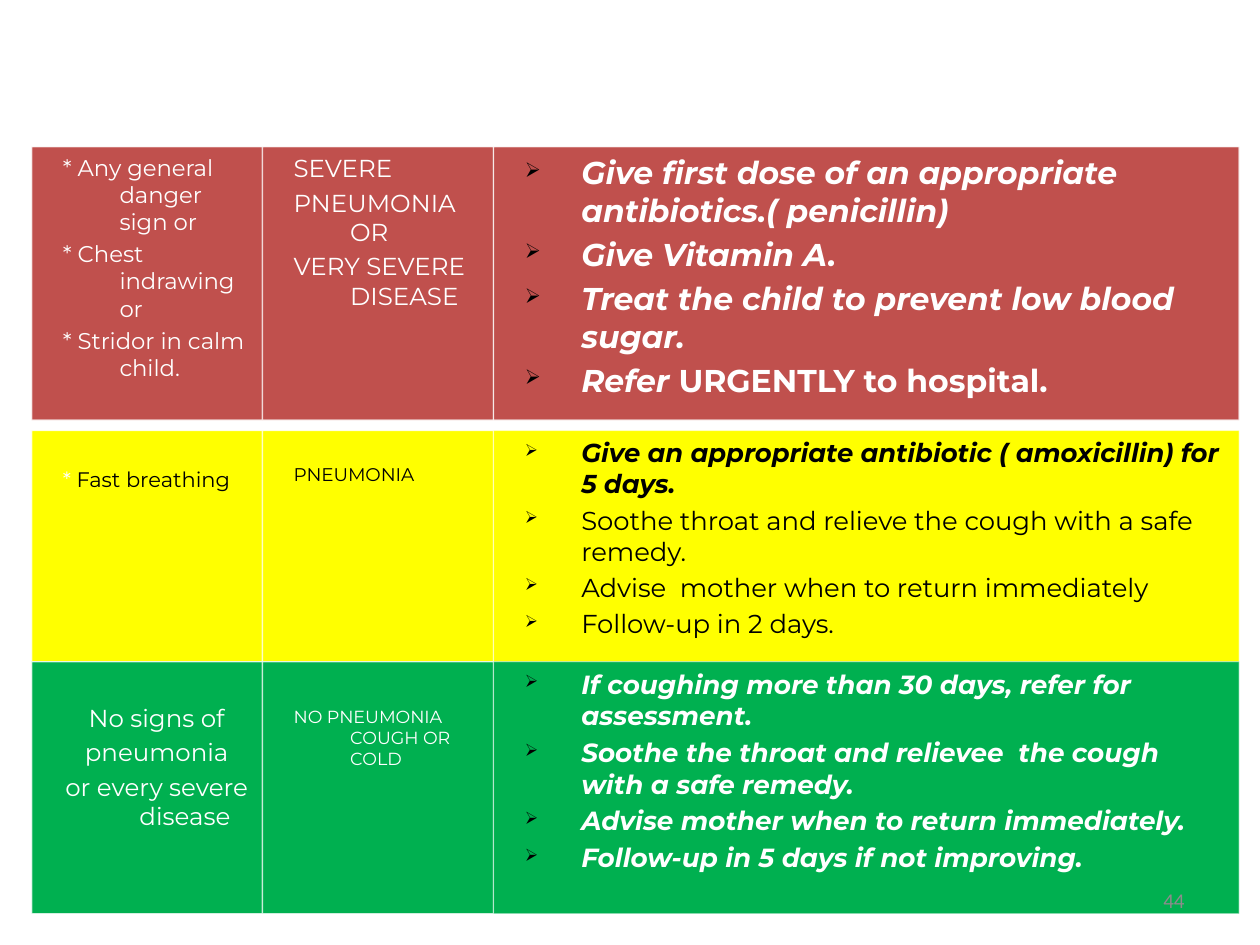
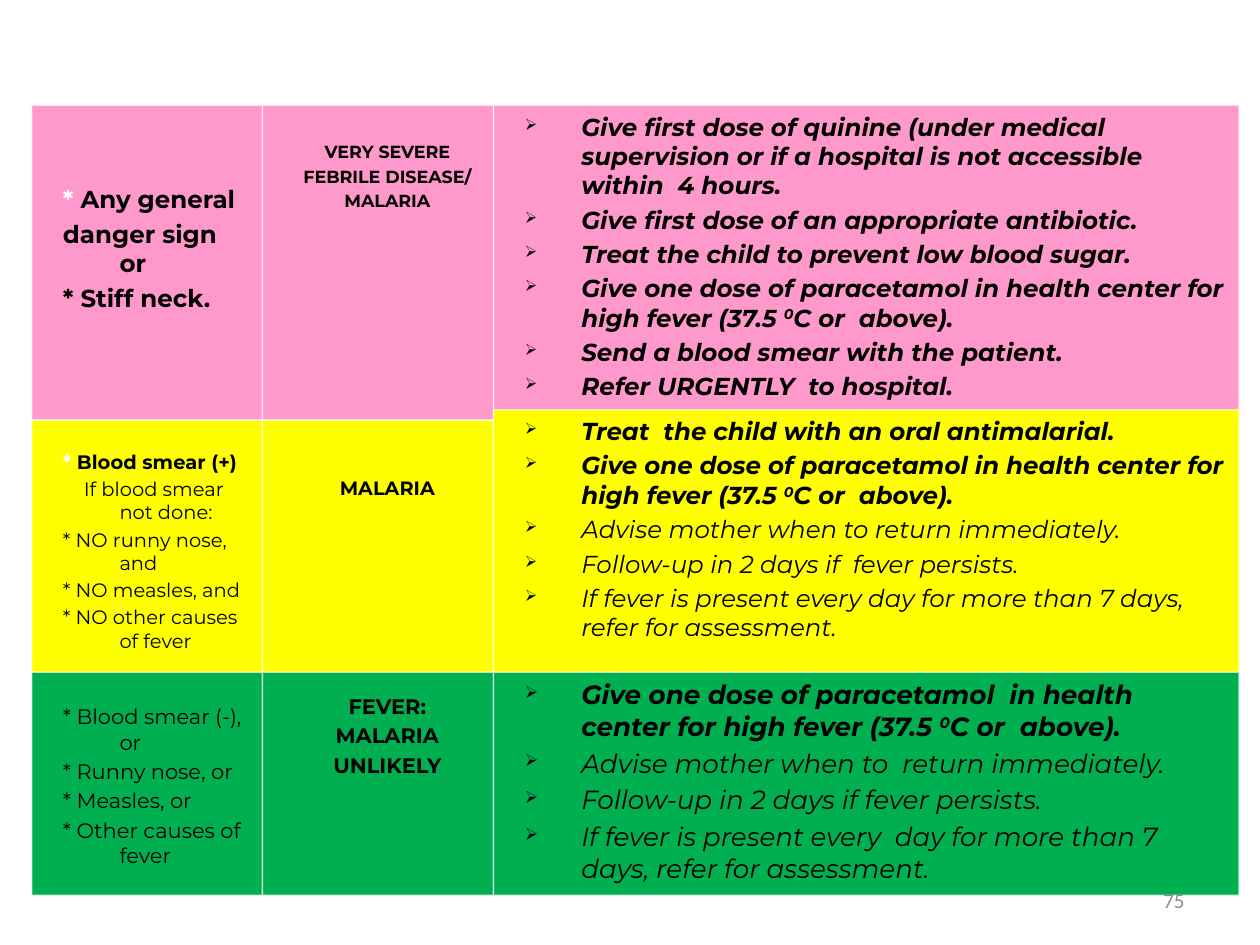
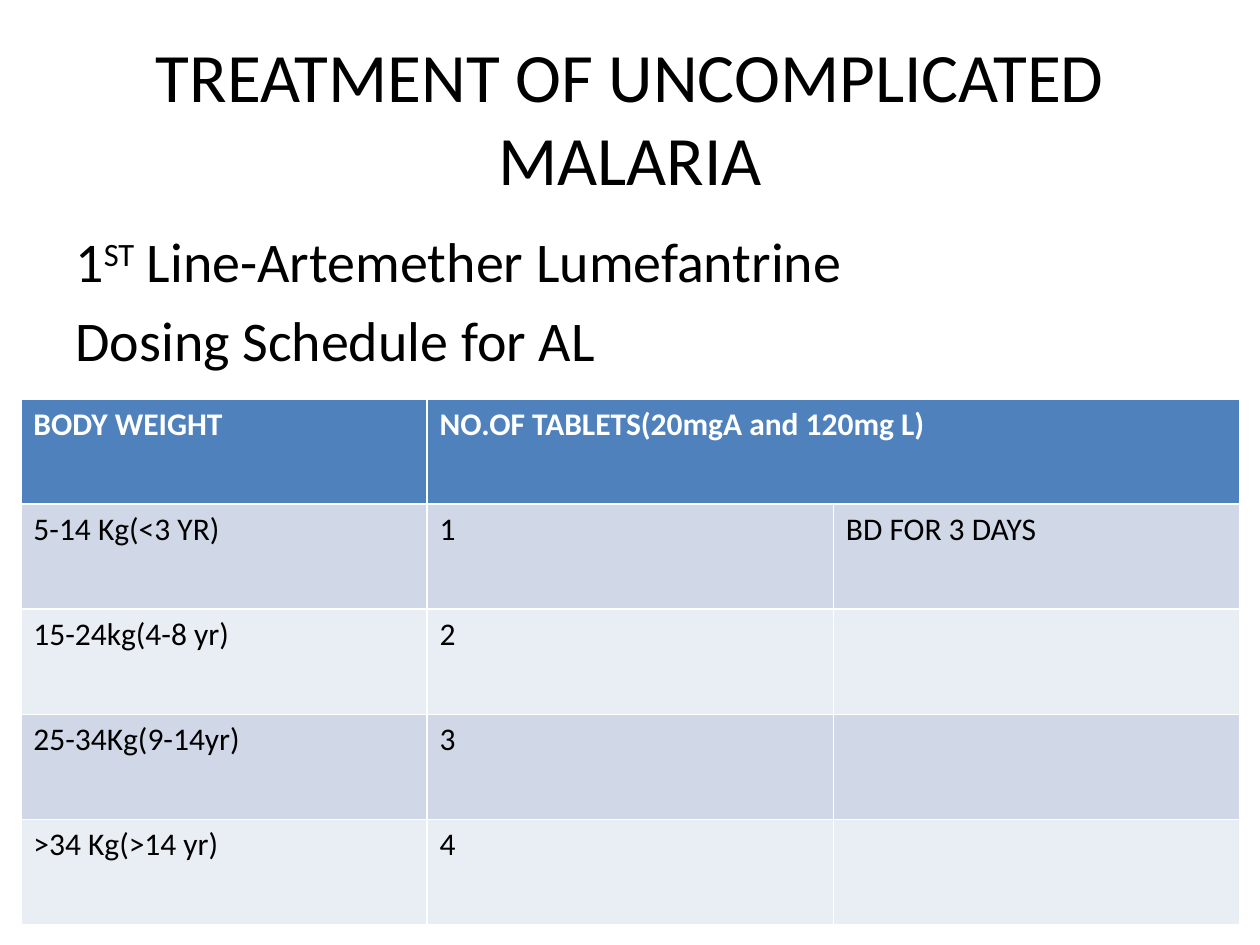
from dataclasses import dataclass
from typing import Any

from lxml import etree
from pptx import Presentation
from pptx import util as u
from pptx.dml import color
from pptx.enum import shapes, text
from pptx.oxml import ns

LEFT, CENTRE, RIGHT = text.PP_ALIGN.LEFT, text.PP_ALIGN.CENTER, text.PP_ALIGN.RIGHT
TOP, MIDDLE = text.MSO_ANCHOR.TOP, text.MSO_ANCHOR.MIDDLE


@dataclass(frozen=True)
class Theme:
    chart_font: str = "Montserrat"
    page_font: str = "Calibri"
    white: str = "FFFFFF"
    black: str = "000000"
    grey: str = "8C8C8C"
    red: str = "C0504D"
    pink: str = "FF99CC"
    yellow: str = "FFFF00"
    green: str = "00B050"
    header: str = "4F81BD"
    bands: tuple[str, str] = ("D0D8E8", "E9EDF4")
    title_size: float = 39.6
    body_size: float = 32
    table_size: float = 18
    number_size: float = 12
    paragraph_gap: float = 0.2


THEME = Theme()
HANGING = 1.14
COLUMNS = ((0.64, 4.66), (5.29, 4.66), (9.95, 15.03))


@dataclass(frozen=True)
class Span:
    text: str
    bold: bool = False
    italic: bool = False
    ink: str | None = None
    raised: bool = False


@dataclass(frozen=True)
class Line:
    spans: tuple[Span, ...]
    hanging: float = HANGING


@dataclass(frozen=True)
class Panel:
    size: float
    lines: tuple[Line, ...]
    ink: str = THEME.black
    inset: float = 0.13
    align: Any = LEFT
    bulleted: bool = False
    rise: float = 0


@dataclass(frozen=True)
class Band:
    top: float
    height: float
    fill: str
    panels: tuple[Panel, Panel, Panel]
    edges: tuple[int, int, int] = (73, 71, 71)


def lines(*texts: str, bold: bool = False, italic: bool = False) -> tuple[Line, ...]:
    return tuple(Line((Span(item, bold, italic),)) for item in texts)


def starred(words: str, bold: bool = False) -> tuple[Line, ...]:
    return (Line((Span("* ", bold, ink=THEME.white), Span(words, bold))),)


def urgent(*texts: str) -> tuple[Line, ...]:
    return lines(*texts, bold=True, italic=True)


def paracetamol(start: str) -> tuple[Line, ...]:
    return (Line((Span(f"{start} center for high fever (37.5 ", True, True),
                  Span("0", True, True, raised=True),
                  Span("C or  above).", True, True))),)


def rgb(value: str) -> color.RGBColor:
    return color.RGBColor.from_string(value)


def add_span(para: Any, item: Span, font: str, size: float, ink: str) -> None:
    span = para.add_run()
    span.text = item.text
    span.font.name = font
    span.font.size = u.Pt(size)
    span.font.bold = item.bold
    span.font.italic = item.italic
    span.font.color.rgb = rgb(item.ink or ink)
    if item.raised:
        span.font._element.set("baseline", "30000")


def add_bullet(para: Any) -> None:
    properties = para._p.get_or_add_pPr()
    tint = etree.SubElement(properties, ns.qn("a:buClr"))
    etree.SubElement(tint, ns.qn("a:srgbClr"), val=THEME.black)
    etree.SubElement(properties, ns.qn("a:buSzPct"), val="65000")
    etree.SubElement(properties, ns.qn("a:buChar"), char="➢")


def fill_frame(frame: Any, content: tuple[Line, ...], font: str, size: float, ink: str,
               align: Any = LEFT, indent: float = 0, bulleted: bool = False,
               anchor: Any = TOP) -> None:
    frame.word_wrap = True
    frame.auto_size = text.MSO_AUTO_SIZE.NONE
    frame.vertical_anchor = anchor
    for index, line in enumerate(content):
        para = frame.add_paragraph() if index else frame.paragraphs[0]
        para.alignment = align
        if indent:
            properties = para._p.get_or_add_pPr()
            properties.set("marL", str(u.Cm(indent)))
            properties.set("indent", str(-u.Cm(line.hanging)))
        if bulleted:
            add_bullet(para)
        if index:
            para.space_before = u.Pt(size * THEME.paragraph_gap)
        for item in line.spans:
            add_span(para, item, font, size, ink)


def add_text(page: Any, left: float, top: float, width: float, height: float) -> Any:
    return page.shapes.add_textbox(u.Cm(left), u.Cm(top), u.Cm(width), u.Cm(height)).text_frame


def add_band(page: Any, band: Band) -> None:
    group = page.shapes.add_group_shape()
    for (left, width), panel, edge in zip(COLUMNS, band.panels, band.edges):
        box = group.shapes.add_shape(
            shapes.MSO_SHAPE.RECTANGLE, u.Cm(left), u.Cm(band.top - panel.rise),
            u.Cm(width), u.Cm(band.height + panel.rise))
        box.shadow.inherit = False
        box.fill.solid()
        box.fill.fore_color.rgb = rgb(band.fill)
        box.line.width = u.Pt(0.75)
        box.line.color.rgb = rgb(THEME.white)
        stroke = box._element.xpath("./p:spPr/a:ln//a:srgbClr")[0]
        etree.SubElement(stroke, ns.qn("a:alpha"), val=str(edge * 1000))
        box.text_frame.margin_top = u.Cm(panel.inset)
        fill_frame(box.text_frame, panel.lines, THEME.chart_font, panel.size, panel.ink,
                   panel.align, 1.52, panel.bulleted)


def add_chart_page(deck: Any, number: str, bands: tuple[Band, ...]) -> None:
    page = deck.slides.add_slide(deck.slide_layouts.get_by_name("Blank"))
    for band in bands:
        add_band(page, band)
    fill_frame(add_text(page, 18.2, 17.65, 5.93, 1.01), lines(number), THEME.page_font,
               THEME.number_size, THEME.grey, RIGHT, anchor=MIDDLE)


def add_dose_table(page: Any, rows: tuple[tuple[str, str, str], ...]) -> None:
    frame = page.shapes.add_table(len(rows), 3, u.Cm(0.42), u.Cm(8.04), u.Cm(24.57), u.Cm(10.6))
    table = frame.table
    for row, values in enumerate(rows):
        is_header = row == 0
        for column, value in enumerate(values):
            cell = table.cell(row, column)
            cell.fill.solid()
            cell.fill.fore_color.rgb = rgb(THEME.header if is_header else THEME.bands[(row - 1) % 2])
            if value:
                add_span(cell.text_frame.paragraphs[0], Span(value, bold=is_header),
                         THEME.page_font, THEME.table_size,
                         THEME.white if is_header else THEME.black)
    table.cell(0, 1).merge(table.cell(0, 2))


def add_treatment_page(deck: Any) -> None:
    page = deck.slides.add_slide(deck.slide_layouts.get_by_name("Title Only"))
    title = page.shapes.title
    title.left, title.top, title.width, title.height = (
        u.Cm(1.27), u.Cm(0.76), u.Cm(22.86), u.Cm(3.18))
    fill_frame(title.text_frame, lines("TREATMENT OF UNCOMPLICATED MALARIA"), THEME.page_font,
               THEME.title_size, THEME.black, CENTRE, anchor=MIDDLE)
    body = (
        Line((Span("1"), Span("ST", raised=True), Span(" Line-Artemether Lumefantrine")), 0.97),
        Line((Span("Dosing Schedule for AL"),), 0.97),
    )
    fill_frame(add_text(page, 1.27, 4.45, 22.86, 12.57), body, THEME.page_font,
               THEME.body_size, THEME.black, indent=0.97)
    add_dose_table(page, (
        ("BODY WEIGHT", "NO.OF TABLETS(20mgA and 120mg L)", ""),
        ("5-14 Kg(<3 YR)", "1", "BD FOR 3 DAYS"),
        ("15-24kg(4-8 yr)", "2", ""),
        ("25-34Kg(9-14yr)", "3", ""),
        (">34 Kg(>14 yr)", "4", ""),
    ))


COUGH_BANDS = (
    Band(2.96, 5.51, THEME.red, (
        Panel(13, lines("* Any general danger sign or", "* Chest indrawing or",
                        "* Stridor in calm child."), THEME.white),
        Panel(14, lines("SEVERE", "PNEUMONIA OR", "VERY SEVERE DISEASE"), THEME.white),
        Panel(18, urgent("Give first dose of an appropriate antibiotics.( penicillin)",
                         "Give Vitamin A.", "Treat the child to prevent low blood sugar.")
              + (Line((Span("Refer ", True, True), Span("URGENTLY to hospital.", True))),),
              THEME.white, bulleted=True),
    )),
    Band(8.68, 4.66, THEME.yellow, (
        Panel(12, starred("Fast breathing"), inset=0.73),
        Panel(10.5, lines("PNEUMONIA"), inset=0.65),
        Panel(14.8, urgent("Give an appropriate antibiotic ( amoxicillin) for  5 days.")
              + lines("Soothe throat and relieve the cough with a safe remedy.",
                      "Advise  mother when to return immediately",
                      "Follow-up in 2 days."), bulleted=True),
    ), (73, 71, 30)),
    Band(13.34, 5.08, THEME.green, (
        Panel(14, lines("No signs of", "pneumonia", "or every severe disease"),
              THEME.white, 0.83, CENTRE),
        Panel(10, lines("NO PNEUMONIA COUGH OR COLD"), THEME.white, 0.89),
        Panel(15, urgent("If coughing more than 30 days, refer for assessment.",
                         "Soothe the throat and relievee  the cough with a safe remedy.",
                         "Advise mother when to return immediately.",
                         "Follow-up in 5 days if not improving."), THEME.white, bulleted=True),
    ), (73, 71, 30)),
)

FEVER_BANDS = (
    Band(2.12, 6.35, THEME.pink, (
        Panel(14, starred("Any general", True)
              + lines("danger sign or", "* Stiff neck.", bold=True), inset=1.6),
        Panel(10, lines("VERY SEVERE", "FEBRILE DISEASE/", "MALARIA", bold=True),
              inset=0.73, align=CENTRE),
        Panel(14, urgent("Give first dose of quinine (under medical supervision or if a "
                         "hospital is not accessible within  4 hours.",
                         "Give first dose of an appropriate antibiotic.",
                         "Treat the child to prevent low blood sugar.")
              + paracetamol("Give one dose of paracetamol in health")
              + urgent("Send a blood smear with the patient.",
                       "Refer URGENTLY  to hospital."), bulleted=True),
    )),
    Band(8.47, 5.1, THEME.yellow, (
        Panel(11.1, starred("Blood smear (+)", True)
              + (Line((Span("If blood smear not done:"),), 0.72),)
              + lines("* NO runny nose, and", "* NO measles, and",
                      "* NO other causes of fever"), inset=0.6),
        Panel(11, lines("MALARIA", bold=True), inset=1.13, align=CENTRE),
        Panel(14, urgent("Treat  the child with an oral antimalarial.")
              + paracetamol("Give one dose of paracetamol in health")
              + lines("Advise mother when to return immediately.",
                      "Follow-up in 2 days if  fever persists.",
                      "If fever is present every day for more than 7 days, refer for assessment.",
                      italic=True), bulleted=True, rise=0.21),
    )),
    Band(13.55, 4.5, THEME.green, (
        Panel(12, lines("* Blood smear (-), or", "* Runny nose, or", "* Measles, or",
                        "* Other causes of fever"), inset=0.64),
        Panel(12, lines("FEVER:", "MALARIA", "UNLIKELY", bold=True), inset=0.43, align=CENTRE),
        Panel(15, paracetamol("Give one dose of paracetamol  in health")
              + lines("Advise mother when to  return immediately.",
                      "Follow-up in 2 days if fever persists.",
                      "If fever is present every  day for more than 7 days, refer for assessment.",
                      italic=True), bulleted=True),
    )),
)


def main() -> None:
    deck = Presentation()
    deck.slide_width, deck.slide_height = u.Cm(25.4), u.Cm(19.05)
    add_chart_page(deck, "44", COUGH_BANDS)
    add_chart_page(deck, "75", FEVER_BANDS)
    add_treatment_page(deck)
    deck.save("out.pptx")


if __name__ == "__main__":
    main()
